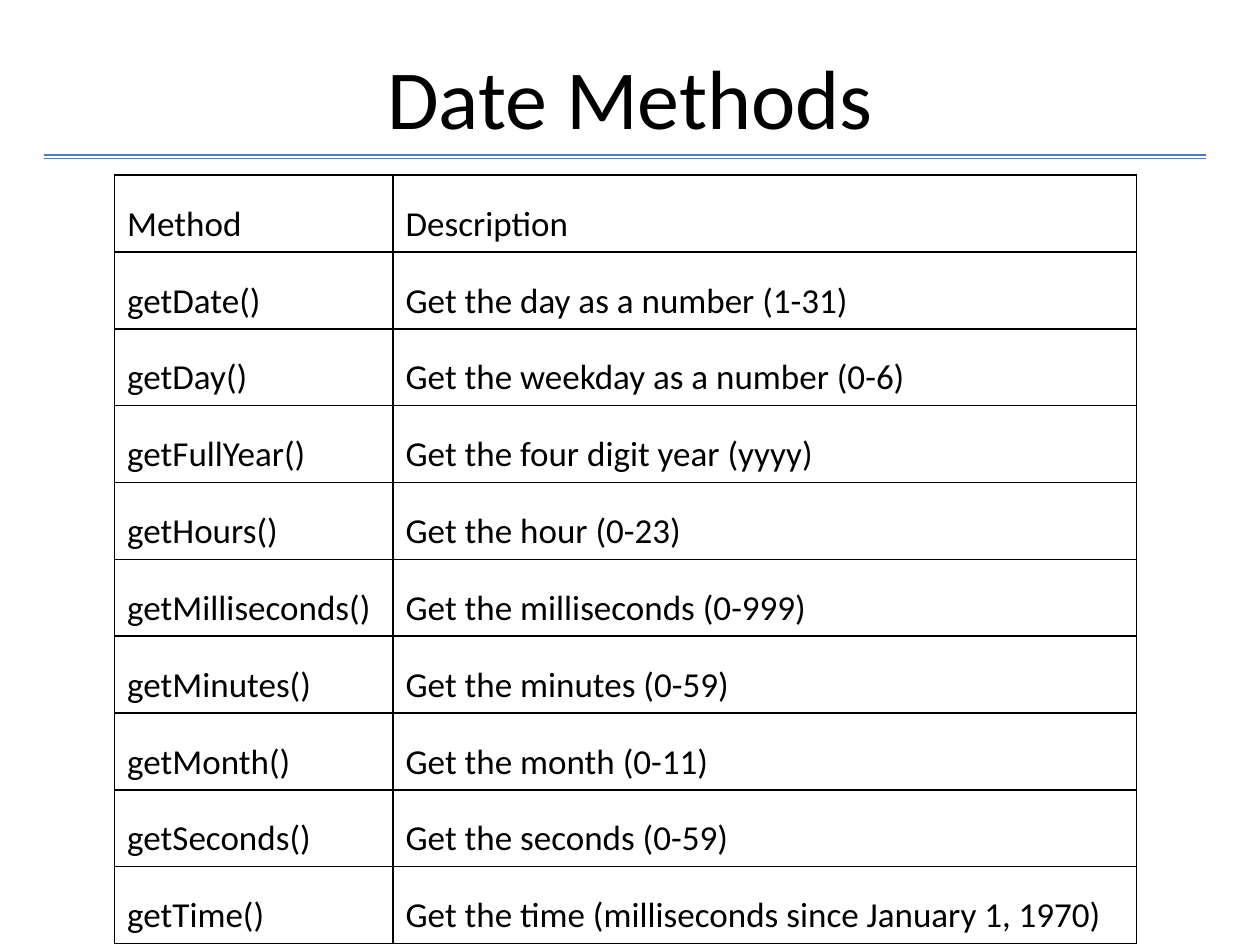
from lxml import etree
from pptx import Presentation
from pptx.dml.color import RGBColor
from pptx.enum import shapes, text
from pptx.oxml import ns
from pptx.util import Inches, Pt

COLORS = {"ink": "000000", "rule": "4B7EBC"}
METHODS = [
    ("Method", "Description"),
    ("getDate()", "Get the day as a number (1-31)"),
    ("getDay()", "Get the weekday as a number (0-6)"),
    ("getFullYear()", "Get the four digit year (yyyy)"),
    ("getHours()", "Get the hour (0-23)"),
    ("getMilliseconds()", "Get the milliseconds (0-999)"),
    ("getMinutes()", "Get the minutes (0-59)"),
    ("getMonth()", "Get the month (0-11)"),
    ("getSeconds()", "Get the seconds (0-59)"),
    ("getTime()", "Get the time (milliseconds since January 1, 1970)"),
]
COLUMN_WIDTHS = [2.21, 5.9]
ROW_HEIGHT = 0.61


def write(frame, content, size, align=text.PP_ALIGN.LEFT, spacing=1.0):
    paragraph = frame.paragraphs[0]
    paragraph.alignment = align
    paragraph.line_spacing = spacing
    run = paragraph.add_run()
    run.text = content
    run.font.size = Pt(size)
    run.font.name = "Calibri"
    run.font.color.rgb = RGBColor.from_string(COLORS["ink"])


def add_borders(cell, width):
    properties = cell._tc.get_or_add_tcPr()
    for position, side in enumerate(("lnL", "lnR", "lnT", "lnB")):
        border = etree.Element(ns.qn(f"a:{side}"), w=str(Pt(width)))
        fill = etree.SubElement(border, ns.qn("a:solidFill"))
        etree.SubElement(fill, ns.qn("a:srgbClr"), val=COLORS["ink"])
        properties.insert(position, border)


prs = Presentation()
prs.slide_width = Inches(10)
prs.slide_height = Inches(7.5)
slide = prs.slides.add_slide(prs.slide_layouts[6])

for y in (1.23, 1.26):
    rule = slide.shapes.add_connector(
        shapes.MSO_CONNECTOR.STRAIGHT, Inches(0.35), Inches(y), Inches(9.57), Inches(y)
    )
    rule.line.color.rgb = RGBColor.from_string(COLORS["rule"])
    rule.line.width = Pt(0.75)
    etree.SubElement(rule._element.spPr, ns.qn("a:effectLst"))

title = slide.shapes.add_textbox(Inches(0.5), Inches(0.3), Inches(9), Inches(0.93)).text_frame
title.word_wrap = True
title.vertical_anchor = text.MSO_ANCHOR.MIDDLE
write(title, "Date Methods", size=48, align=text.PP_ALIGN.CENTER)

methods = slide.shapes.add_table(
    len(METHODS), len(COLUMN_WIDTHS), Inches(0.91), Inches(1.39),
    Inches(sum(COLUMN_WIDTHS)), Inches(ROW_HEIGHT * len(METHODS)),
).table
methods.first_row = False
methods.horz_banding = False
for column, width in zip(methods.columns, COLUMN_WIDTHS):
    column.width = Inches(width)

for r, entry in enumerate(METHODS):
    methods.rows[r].height = Inches(ROW_HEIGHT)
    for c, content in enumerate(entry):
        cell = methods.cell(r, c)
        cell.vertical_anchor = text.MSO_ANCHOR.MIDDLE if r else text.MSO_ANCHOR.TOP
        cell.fill.background()
        add_borders(cell, width=1)
        write(cell.text_frame, content, size=20, spacing=1.5)

prs.save("out.pptx")
